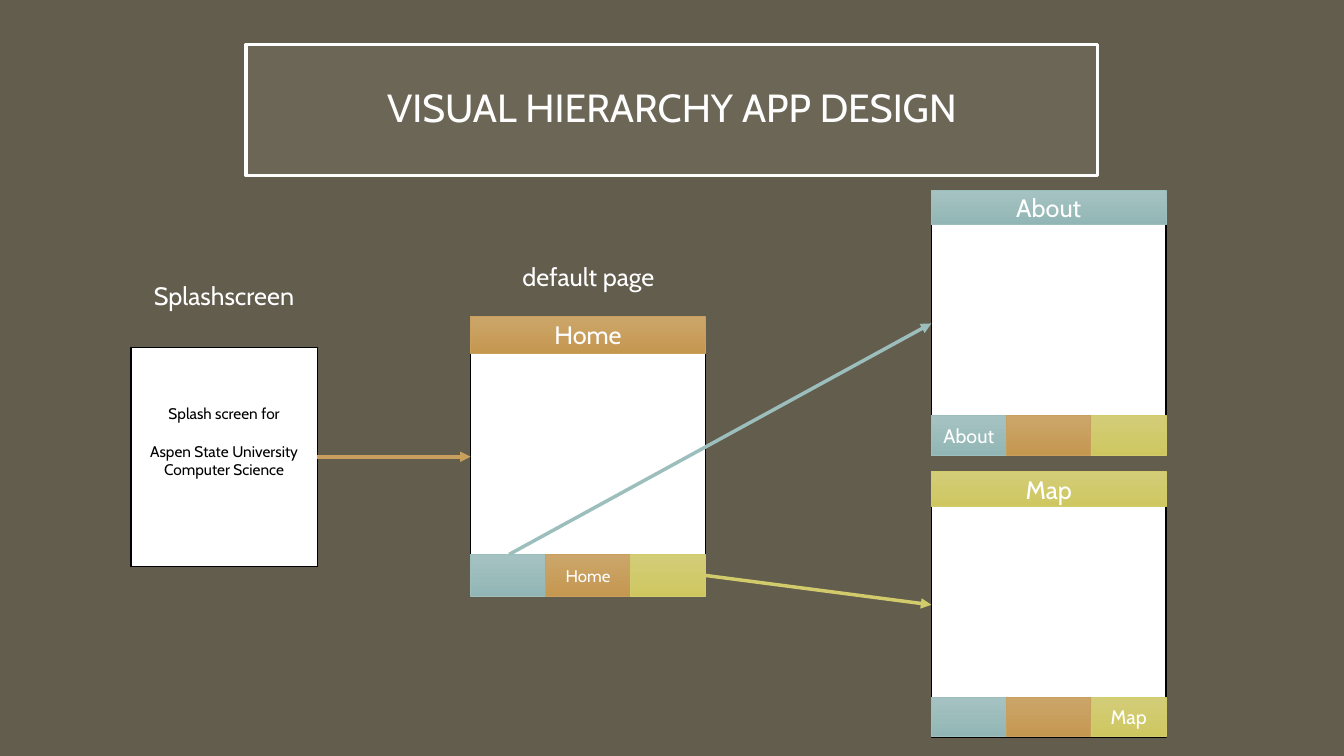
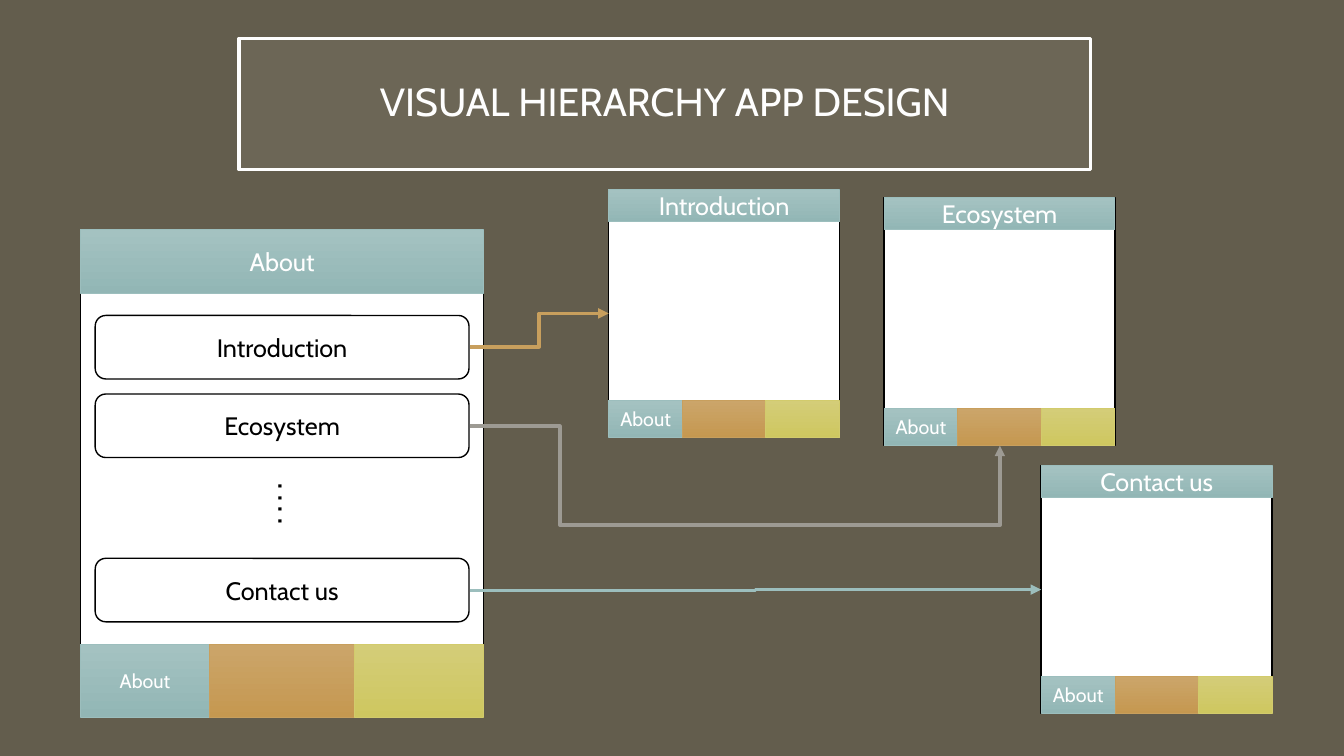
from lxml.etree import SubElement
from pptx import Presentation
from pptx.dml.color import RGBColor
from pptx.enum.shapes import MSO_CONNECTOR as LINK, MSO_SHAPE as SHAPE
from pptx.enum.text import MSO_ANCHOR as ANCHOR, PP_ALIGN as ALIGN
from pptx.oxml.ns import qn
from pptx.util import Cm, Pt

FONT = "Cabin"
BACK, WHITE, BLACK = "635D4D", "FFFFFF", "000000"
OFF_WHITE, TITLE_FILL = "FEFEFE", "A69F8E"
TEAL, ORANGE, YELLOW, GREY = "9CBEBD", "C89F5D", "D2CB6C", "9D9A93"
GRADIENTS = {
    TEAL: ("A4C2C1", "92B6B5"),
    ORANGE: ("CBA56A", "C59850"),
    YELLOW: ("D4CD78", "CEC760"),
}

# Proportions of every app screen
HEADER, TABS = 0.13, 0.15
TAB_COLUMNS = [(TEAL, 0, 0.32), (ORANGE, 0.32, 0.36), (YELLOW, 0.68, 0.32)]


def paint(sp, fill, line, width):
    """Fill and outline a shape; theme accents are filled with their gradient."""
    sp.shadow.inherit = False
    if fill in GRADIENTS:
        sp.fill.gradient()
        sp.fill.gradient_angle = 270
        for stop, colour in zip(sp.fill.gradient_stops, GRADIENTS[fill]):
            stop.color.rgb = RGBColor.from_string(colour)
    else:
        sp.fill.solid()
        sp.fill.fore_color.rgb = RGBColor.from_string(fill)
    sp.line.color.rgb = RGBColor.from_string(line)
    sp.line.width = Pt(width)


def write(sp, text, size=18, colour=WHITE, bold=False, align=ALIGN.CENTER,
          anchor=ANCHOR.MIDDLE, wrap=True, spacing=None):
    tf = sp.text_frame
    tf.word_wrap = wrap
    tf.vertical_anchor = anchor
    tf.text = text
    for p in tf.paragraphs:
        p.alignment = align
        p.line_spacing = spacing
        for r in p.runs:
            r.font.name = FONT
            r.font.size = Pt(size)
            r.font.bold = bold
            r.font.color.rgb = RGBColor.from_string(colour)
    return tf


prs = Presentation()
prs.slide_width, prs.slide_height = Cm(33.87), Cm(19.05)
back = prs.slide_master.background.fill
back.solid()
back.fore_color.rgb = RGBColor.from_string(BACK)

# Titles, at left and top
slides = []
for x, y in [(6.2, 1.12), (6.02, 0.97)]:
    s = prs.slides.add_slide(prs.slide_layouts[5])
    title = s.shapes.title
    title.left, title.top, title.width, title.height = Cm(x), Cm(y), Cm(21.46), Cm(3.3)
    paint(title, TITLE_FILL, OFF_WHITE, 2.5)
    tint = title._element.spPr.find(qn("a:solidFill")).find(qn("a:srgbClr"))
    SubElement(tint, qn("a:alpha")).set("val", "15000")
    tf = write(title, "VISUAL HIERARCHY APP DESIGN", size=28, colour=OFF_WHITE, spacing=0.9)
    tf.margin_left = tf.margin_right = tf.margin_top = tf.margin_bottom = Cm(0.51)
    slides.append(s)
flow, about = slides

# App screens: slide, left, top, width, height, heading, accent, tab label, tab size
screens = [
    (flow, 11.86, 7.98, 5.92, 7.06, "Home", ORANGE, "Home", 12),
    (flow, 23.47, 11.89, 5.92, 6.68, "Map", YELLOW, "Map", 14),
    (flow, 23.47, 4.8, 5.92, 6.68, "About", TEAL, "About", 14),
    (about, 2.03, 5.79, 10.16, 12.29, "About", TEAL, "About", 14),
    (about, 22.28, 4.98, 5.82, 6.25, "Ecosystem", TEAL, "About", 14),
    (about, 15.34, 4.78, 5.82, 6.25, "Introduction", TEAL, "About", 14),
    (about, 26.24, 11.73, 5.82, 6.25, "Contact us", TEAL, "About", 14),
]
for s, x, y, w, h, heading, accent, label, size in screens:
    shapes = s.shapes.add_group_shape().shapes
    page = shapes.add_shape(SHAPE.RECTANGLE, Cm(x), Cm(y), Cm(w), Cm(h))
    paint(page, WHITE, BLACK, 1)
    for colour, start, share in TAB_COLUMNS:
        tab = shapes.add_shape(SHAPE.RECTANGLE, Cm(x + w * start), Cm(y + h * (1 - TABS)),
                               Cm(w * share), Cm(h * TABS))
        paint(tab, colour, colour, 0.75)
        if colour == accent:
            write(tab, label, size=size)
    bar = shapes.add_shape(SHAPE.RECTANGLE, Cm(x), Cm(y), Cm(w), Cm(h * HEADER))
    paint(bar, accent, accent, 0.75)
    write(bar, heading)

# Splash screen and captions
splash = flow.shapes.add_shape(SHAPE.RECTANGLE, Cm(3.3), Cm(8.76), Cm(4.7), Cm(5.51))
paint(splash, WHITE, BLACK, 1)
tf = write(splash, "Splash screen for\nAspen State University\nComputer Science",
           size=11, colour=BLACK)
tf.paragraphs[0].space_after = Pt(13.5)
tf.margin_bottom = Cm(0.9)
for x, y, w, caption in [(12.9, 6.45, 3.86, "default page"), (3.51, 6.93, 4.27, "Splashscreen")]:
    box = flow.shapes.add_textbox(Cm(x), Cm(y), Cm(w), Cm(1.02))
    write(box, caption, anchor=ANCHOR.TOP, wrap=False)

# Menu of the About screen
for y, item in [(7.95, "Introduction"), (9.93, "Ecosystem"), (14.07, "Contact us")]:
    button = about.shapes.add_shape(SHAPE.ROUNDED_RECTANGLE, Cm(2.4), Cm(y), Cm(9.42), Cm(1.6))
    paint(button, WHITE, BLACK, 1)
    write(button, item, colour=BLACK)
dots = about.shapes.add_textbox(Cm(6.05), Cm(12.07), Cm(1.85), Cm(1.6))
dots.rotation = 90
write(dots, ". . . .", colour=BLACK, bold=True, align=ALIGN.LEFT, anchor=ANCHOR.TOP)

# Arrows: slide, from, to, colour, bends as shares of width and height
arrows = [
    (flow, (8, 11.51), (11.86, 11.51), ORANGE, []),
    (flow, (12.83, 13.97), (23.47, 8.15), TEAL, []),
    (flow, (17.78, 14.5), (23.47, 15.24), YELLOW, []),
    (about, (11.84, 8.74), (15.34, 7.9), ORANGE, [0.5]),
    (about, (11.84, 10.74), (25.2, 11.23), GREY, [0.17, 5.09]),
    (about, (11.84, 14.88), (26.24, 14.86), TEAL, [0.5]),
]
for s, (x1, y1), (x2, y2), colour, bends in arrows:
    arrow = s.shapes.add_connector(LINK.ELBOW if bends else LINK.STRAIGHT,
                                   Cm(x1), Cm(y1), Cm(x2), Cm(y2))
    arrow.line.color.rgb = RGBColor.from_string(colour)
    arrow.line.width = Pt(2.5)
    props = arrow._element.spPr
    SubElement(props.find(qn("a:ln")), qn("a:tailEnd")).set("type", "triangle")
    SubElement(props, qn("a:effectLst"))
    if bends:
        geom = props.find(qn("a:prstGeom"))
        geom.set("prst", f"bentConnector{len(bends) + 2}")
        for n, share in enumerate(bends, 1):
            guide = SubElement(geom.find(qn("a:avLst")), qn("a:gd"))
            guide.set("name", f"adj{n}" )
            guide.set("fmla", f"val {round(share * 100000)}")

prs.save("out.pptx")
